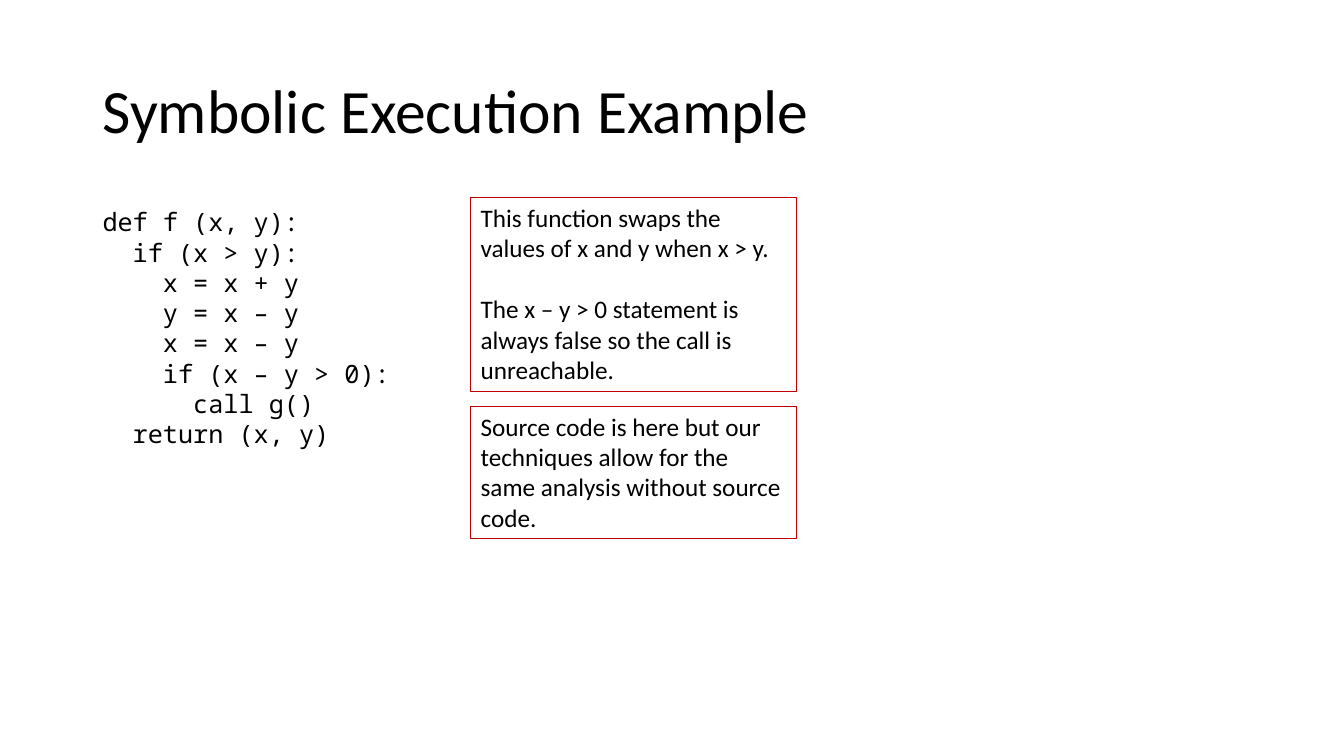
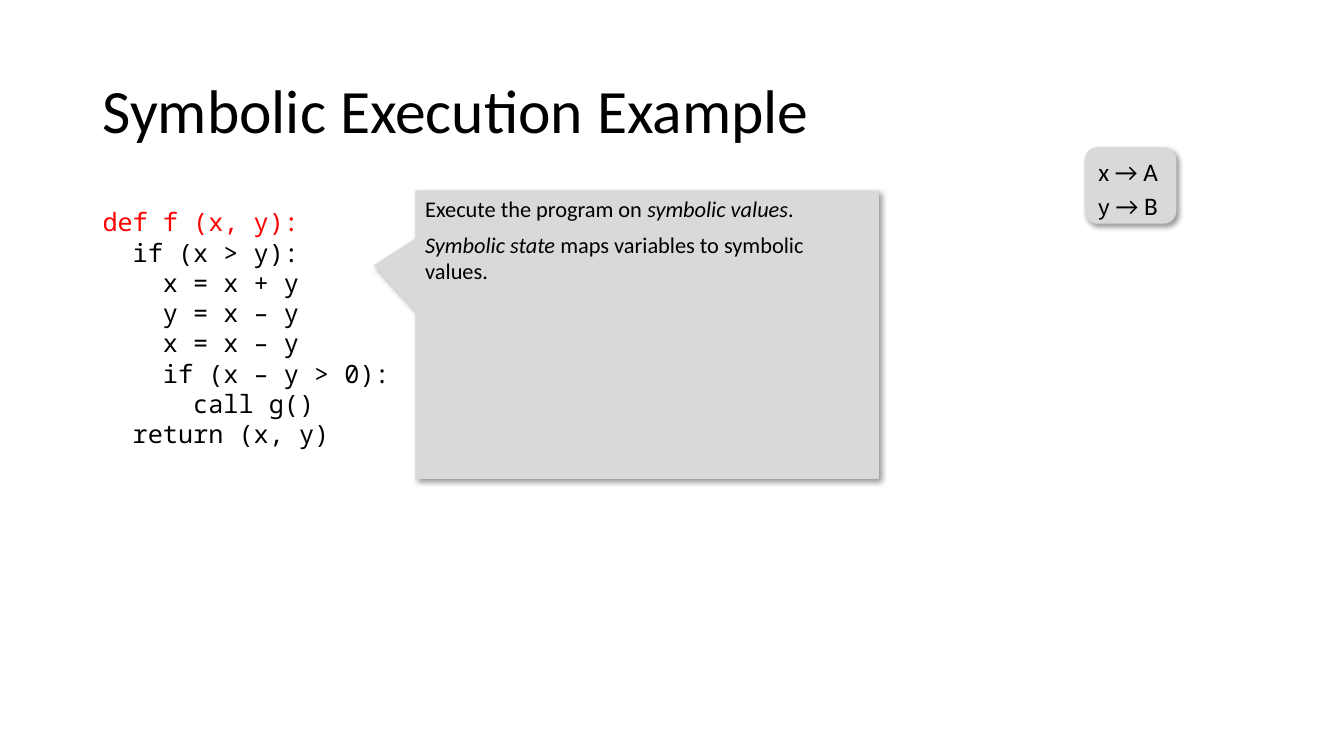
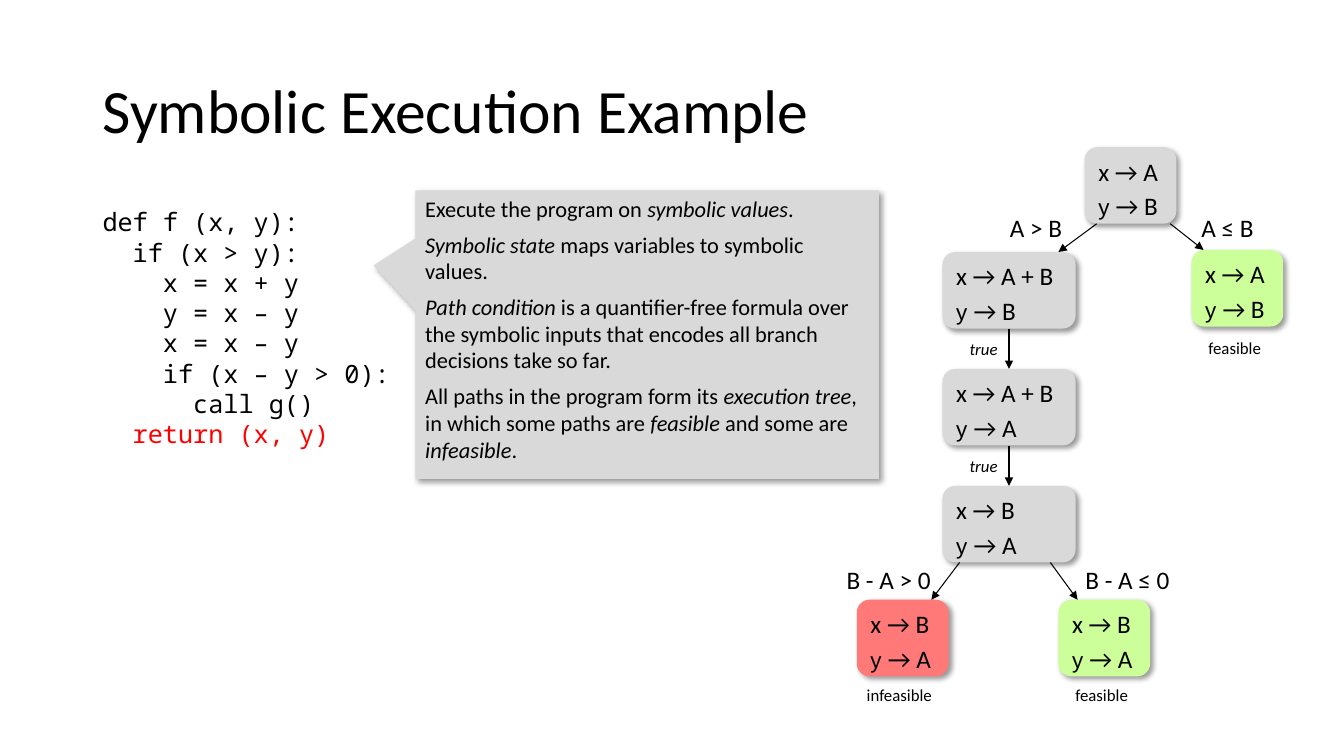
"""Build three slides that walk through symbolic execution."""
import dataclasses

import lxml.etree
import pptx
import pptx.dml.color
import pptx.enum.shapes
import pptx.enum.text
import pptx.oxml.ns
import pptx.util

Pt = pptx.util.Pt
Color = pptx.dml.color.RGBColor.from_string
qn = pptx.oxml.ns.qn
Shapes = pptx.enum.shapes.MSO_SHAPE
Anchor = pptx.enum.text.MSO_ANCHOR
Align = pptx.enum.text.PP_ALIGN
AutoSize = pptx.enum.text.MSO_AUTO_SIZE


@dataclasses.dataclass(frozen=True)
class Theme:
    cell: float = 0.1
    columns: float = 133.33
    rows: float = 75
    ink: str = "000000"
    highlight: str = "FF0000"
    outline: str = "C00000"
    paper: str = "FFFFFF"
    neutral: str = "D9D9D9"
    feasible: str = "CCFF99"
    infeasible: str = "FF7979"
    text_font: str = "Calibri"
    code_font: str = "Noto Sans Mono"
    variable_font: str = "Arial"
    title_size: int = 44
    text_size: int = 18
    note_size: int = 16
    caption_size: int = 12
    hairline: float = 0.75
    code_indent: float = 3


def apply(target, formats):
    for name, value in formats.items():
        if isinstance(value, dict):
            apply(getattr(target, name), value)
        else:
            setattr(target, name, value)


def emphasised(text):
    return [(part, {"italic": index % 2 == 1})
            for index, part in enumerate(text.split("*")) if part]


class Deck:
    def __init__(self, theme):
        self.theme = theme
        self.presentation = pptx.Presentation()
        apply(self.presentation, {"slide_width": self.length(theme.columns),
                                  "slide_height": self.length(theme.rows)})
        self.slide = None

    def length(self, cells):
        return pptx.util.Inches(round(cells * self.theme.cell, 3))

    def area(self, *cells):
        return [self.length(value) for value in cells]

    def font(self, size, name=None, color=None):
        return {"size": Pt(size), "name": name or self.theme.text_font,
                "color": {"rgb": Color(color or self.theme.ink)}}

    def fill_text(self, shape, paragraphs, font, spacing=None, **frame):
        text_frame = shape.text_frame
        apply(text_frame, {"word_wrap": True, "auto_size": AutoSize.NONE,
                           "vertical_anchor": Anchor.TOP, **frame})
        for index, runs in enumerate(paragraphs):
            paragraph = text_frame.add_paragraph() if index else text_frame.paragraphs[0]
            apply(paragraph, {"alignment": Align.LEFT, **(spacing or {})})
            for text, formats in runs:
                run = paragraph.add_run()
                run.text = text
                apply(run.font, {**font, **formats})

    def place(self, shape, *cells):
        apply(shape, dict(zip(("left", "top", "width", "height"), self.area(*cells))))

    def start(self, title):
        self.slide = self.presentation.slides.add_slide(self.presentation.slide_layouts[1])
        shape = self.slide.shapes.title
        self.place(shape, 9.17, 4, 115, 14.5)
        self.fill_text(shape, [[(title, {})]], self.font(self.theme.title_size),
                       {"line_spacing": 0.9}, vertical_anchor=Anchor.MIDDLE)

    def code(self, lines, current=None):
        shape = self.slide.placeholders[1]
        self.place(shape, 9.17, 20, 33.5, 39.5)
        red = {"color": {"rgb": Color(self.theme.highlight)}}
        runs = [[(text, red if index == current else {})]
                for index, (depth, text) in enumerate(lines)]
        self.fill_text(shape, runs, self.font(self.theme.text_size, self.theme.code_font),
                       {"space_before": Pt(0), "space_after": Pt(0), "line_spacing": 1.0})
        for paragraph, (depth, text) in zip(shape.text_frame.paragraphs, lines):
            properties = paragraph._p.get_or_add_pPr()
            properties.set("marL", str(self.length(depth * self.theme.code_indent)))
            properties.set("indent", "0")
            lxml.etree.SubElement(properties, qn("a:buNone"))

    def shape(self, kind, cells, fill, shadow=True):
        shape = self.slide.shapes.add_shape(kind, *self.area(*cells))
        shape.shadow.inherit = False
        if fill:
            shape.fill.solid()
            shape.fill.fore_color.rgb = Color(fill)
        else:
            shape.fill.background()
        shape.line.fill.background()
        if shadow:
            effects = shape._element.spPr.find(qn("a:effectLst"))
            outer = lxml.etree.SubElement(
                effects, qn("a:outerShdw"), blurRad=str(Pt(4)), dist=str(Pt(3)),
                dir="2700000", algn="tl", rotWithShape="0")
            color = lxml.etree.SubElement(outer, qn("a:srgbClr"), val=self.theme.ink)
            lxml.etree.SubElement(color, qn("a:alpha"), val="40000")
        return shape

    def remark(self, top, height, paragraphs, fill=None):
        shape = self.shape(Shapes.RECTANGLE, (46.7, top, 32.3, height), fill, shadow=False)
        shape.line.fill.solid()
        apply(shape.line, {"width": Pt(self.theme.hairline),
                           "color": {"rgb": Color(self.theme.outline)}})
        self.fill_text(shape, [[(text, {})] for text in paragraphs],
                       self.font(self.theme.text_size), {"space_after": Pt(22)})

    def callout(self, notes):
        shape = self.shape(Shapes.RECTANGULAR_CALLOUT, (41.2, 18.9, 46, 28.6),
                           self.theme.neutral)
        shape.adjustments[0] = -0.59
        shape.adjustments[1] = -0.24
        self.fill_text(shape, [emphasised(note) for note in notes],
                       self.font(self.theme.note_size), {"space_after": Pt(6)})

    def state(self, left, top, x, y, fill=None, width=9.1):
        shape = self.shape(Shapes.ROUNDED_RECTANGLE, (left, top, width, 7.6),
                           fill or self.theme.neutral)
        variable = {"size": Pt(self.theme.note_size), "name": self.theme.variable_font}
        self.fill_text(shape, [[(f"x → {x}", {})], [("y ", variable), (f"→ {y}", {})]],
                       self.font(self.theme.text_size), {"space_after": Pt(3)})
        return shape

    def arrow(self, parent, child, start, end):
        connector = self.slide.shapes.add_connector(
            pptx.enum.shapes.MSO_CONNECTOR.STRAIGHT, self.length(start),
            parent.top + parent.height, self.length(end), child.top)
        apply(connector.line, {"width": Pt(self.theme.hairline),
                               "color": {"rgb": Color(self.theme.ink)}})
        properties = connector._element.spPr
        lxml.etree.SubElement(properties.find(qn("a:ln")), qn("a:tailEnd"), type="triangle")
        lxml.etree.SubElement(properties, qn("a:effectLst"))

    def label(self, left, top, width, text, size, height, italic=False):
        shape = self.slide.shapes.add_textbox(*self.area(left, top, width, height))
        self.fill_text(shape, [[(text, {"italic": italic})]], self.font(size),
                       word_wrap=False, auto_size=AutoSize.SHAPE_TO_FIT_TEXT)

    def condition(self, left, top, width, text):
        self.label(left, top, width, text, self.theme.text_size, 4)

    def caption(self, left, top, width, text, italic=False):
        self.label(left, top, width, text, self.theme.caption_size, 3, italic)


TITLE = "Symbolic Execution Example"
CODE = [(0, "def f (x, y):"), (1, "if (x > y):"), (2, "x = x + y"), (2, "y = x – y"),
        (2, "x = x – y"), (2, "if (x – y > 0):"), (3, "call g()"), (1, "return (x, y)")]
NOTES = [
    "Execute the program on *symbolic values*.",
    "*Symbolic state *maps variables to symbolic values.",
    "*Path condition* is a quantifier-free formula over the symbolic inputs "
    "that encodes all branch decisions take so far.",
    "All paths in the program form its *execution tree*, in which some paths are "
    "*feasible* and some are *infeasible*.",
]


def add_root(deck):
    return deck.state(107.6, 14.6, "A", "B")


def add_tree(deck):
    theme = deck.theme
    root = add_root(deck)
    skipped = deck.state(118.2, 24.8, "A", "B", theme.feasible)
    steps = [deck.state(93.5, 25 + 11.6 * index, x, y, width=13.2)
             for index, (x, y) in enumerate([("A + B", "B"), ("A + B", "A"), ("B", "A")])]
    called = deck.state(85, 59.5, "B", "A", theme.infeasible)
    returned = deck.state(105, 59.5, "B", "A", theme.feasible)
    for parent, child, start, end in [
            (root, steps[0], 108.8, 105), (root, skipped, 116.1, 119.4),
            (steps[0], steps[1], 100.1, 100.1), (steps[1], steps[2], 100.1, 100.1),
            (steps[2], called, 95.2, 92.4), (steps[2], returned, 104.2, 106.9)]:
        deck.arrow(parent, child, start, end)
    for condition in [(99.2, 20.6, 7.3, "A > B"), (118.2, 20.6, 7.3, "A ≤ B"),
                      (83, 55.5, 10.5, "B - A > 0"), (106.7, 55.5, 10.5, "B - A ≤ 0")]:
        deck.condition(*condition)
    for caption in [(95.2, 33.1, 4.9, "true", True), (95.2, 44.7, 4.9, "true", True),
                    (118.9, 33, 7.3, "feasible"), (105.7, 67.4, 7.3, "feasible"),
                    (85, 67.4, 8.5, "infeasible")]:
        deck.caption(*caption)


def main():
    deck = Deck(Theme())

    deck.start(TITLE)
    deck.code(CODE)
    deck.remark(19.6, 19.2, [
        "This function swaps the values of x and y when x > y.",
        "The x – y > 0 statement is always false so the call is unreachable."])
    deck.remark(40.3, 13.1, ["Source code is here but our techniques allow for the same "
                             "analysis without source code."], deck.theme.paper)

    deck.start(TITLE)
    deck.callout(NOTES[:2])
    deck.code(CODE, current=0)
    add_root(deck)

    deck.start(TITLE)
    deck.code(CODE, current=len(CODE) - 1)
    add_tree(deck)
    deck.callout(NOTES)

    deck.presentation.save("out.pptx")


if __name__ == "__main__":
    main()
